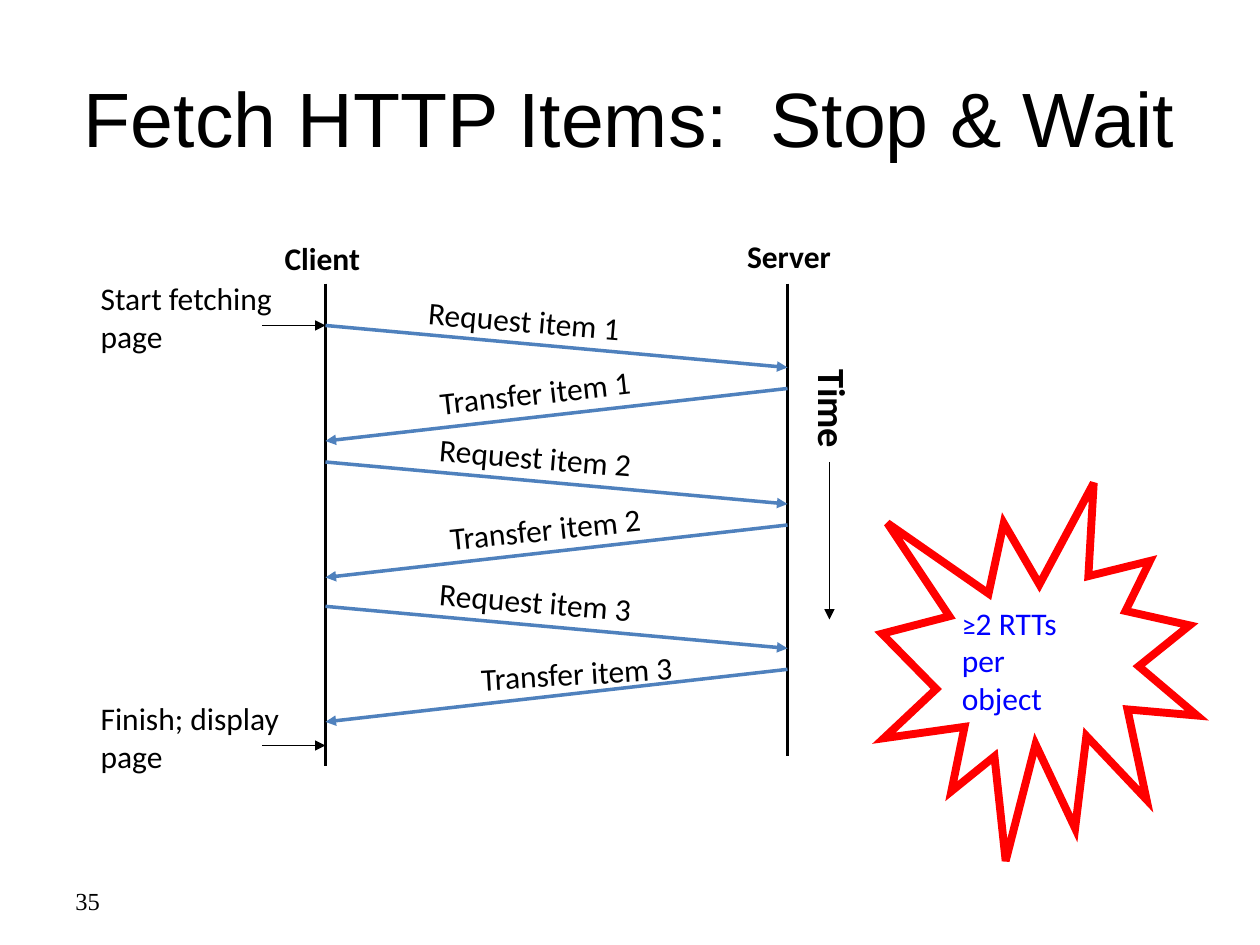
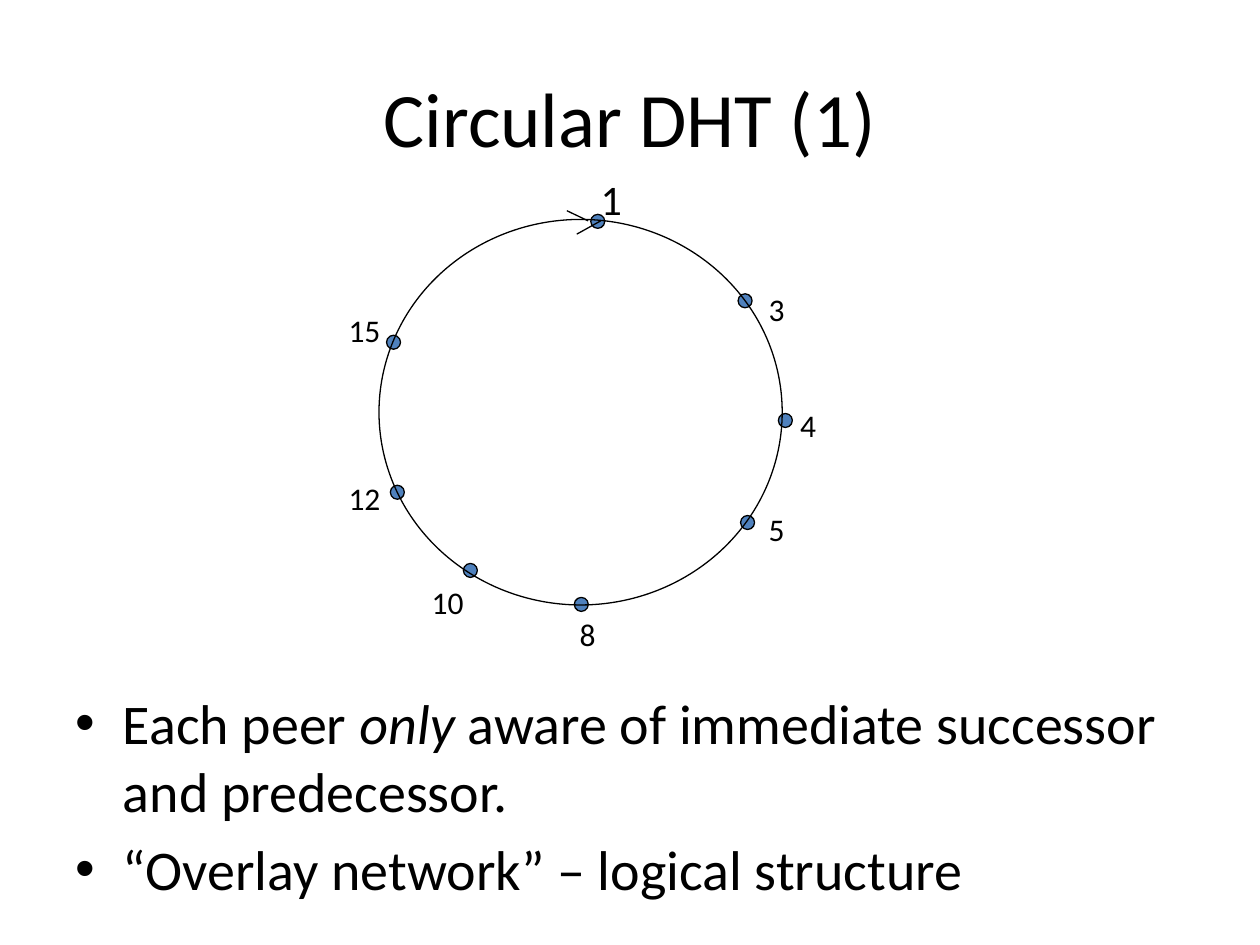
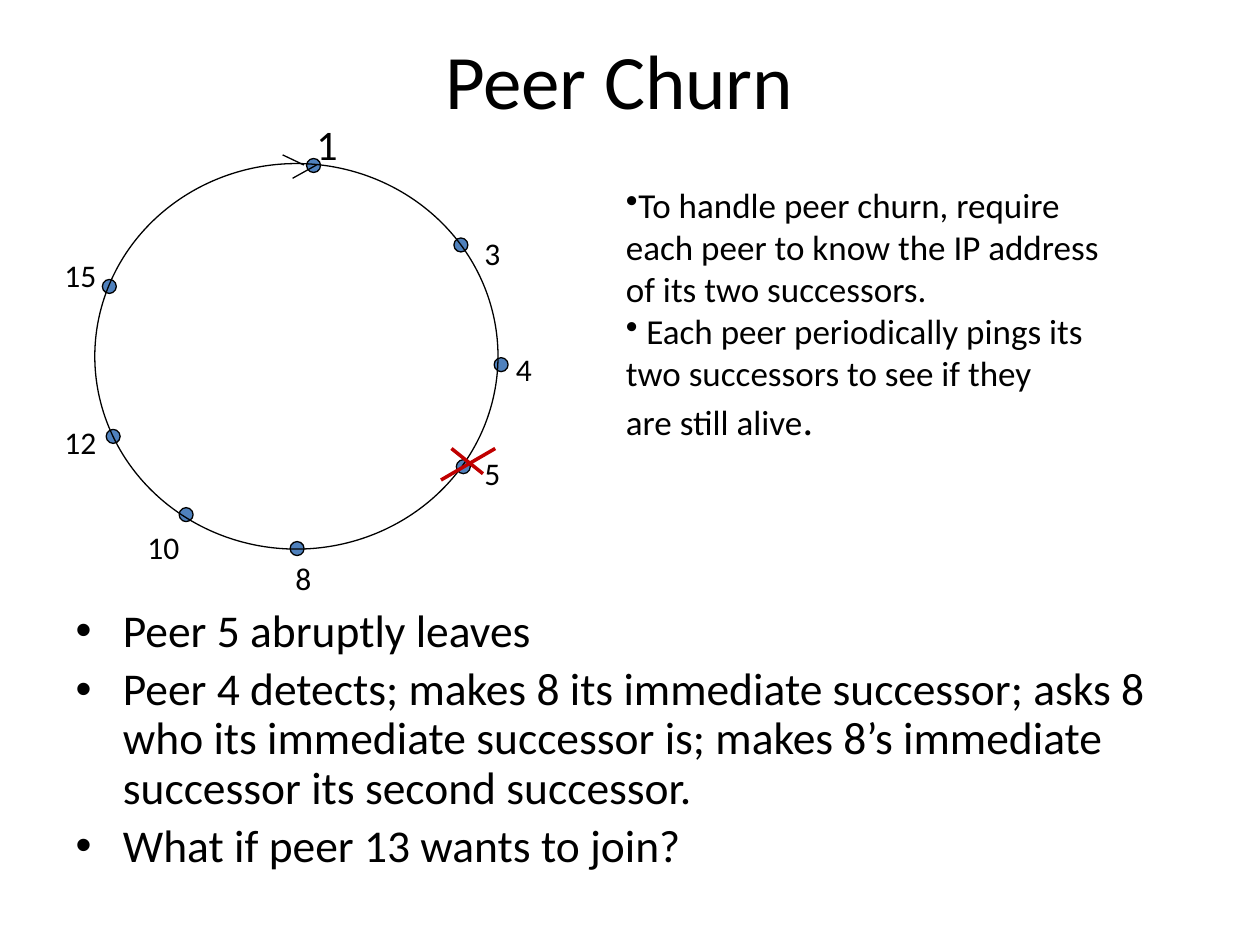
import dataclasses
import typing

import lxml.etree
import pptx
import pptx.dml.color
import pptx.enum.shapes
import pptx.enum.text
import pptx.oxml.ns
import pptx.util

Pt = pptx.util.Pt
Shapes = pptx.enum.shapes.MSO_SHAPE
Anchor = pptx.enum.text.MSO_ANCHOR
AutoSize = pptx.enum.text.MSO_AUTO_SIZE
qn = pptx.oxml.ns.qn

# Shared look
COLOURS = {
    "ink": "000000",
    "accent": "4F81BD",
    "burst": "FF0000",
    "burst_text": "0000FF",
    "cross": "C00000",
}
TITLE_ONLY, TITLE_AND_BODY = 5, 1
TITLE_HEIGHT = 90


@dataclasses.dataclass(frozen=True)
class Frame:
    left: float
    top: float
    width: float
    height: float

    def lengths(self) -> list:
        return [Pt(value) for value in dataclasses.astuple(self)]


@dataclasses.dataclass(frozen=True)
class Span:
    text: str
    formats: dict = dataclasses.field(default_factory=dict)


@dataclasses.dataclass(frozen=True)
class Peer:
    """Dot and label corners, measured from the ring's corner."""
    name: str
    dot: tuple[float, float]
    label: tuple[float, float]
    size: float = 18


@dataclasses.dataclass(frozen=True)
class Exchange:
    """One request and its transfer, with label lefts and the transfer's tilt."""
    start: float
    request_left: float
    transfer_left: float
    transfer_tilt: float


def colour(name: str) -> pptx.dml.color.RGBColor:
    return pptx.dml.color.RGBColor.from_string(COLOURS[name])


def style_font(font: typing.Any, size: float, ink: str = "ink", **formats) -> None:
    values = {"name": "Calibri", "size": Pt(size)} | formats
    for key, value in values.items():
        setattr(font, key, value)
    font.color.rgb = colour(ink)


def write(frame: typing.Any, paras: list, size: float, **formats) -> list:
    """Fill a text frame; each paragraph is a string or a list of spans."""
    written = []
    for index, content in enumerate(paras):
        para = frame.add_paragraph() if index else frame.paragraphs[0]
        spans = [Span(content)] if isinstance(content, str) else content
        for span in spans:
            for number, line in enumerate(span.text.split("\n")):
                if number:
                    para.add_line_break()
                run = para.add_run()
                run.text = line
                style_font(run.font, **({"size": size} | formats | span.formats))
        written.append(para)
    return written


def add_text(parent: typing.Any, frame: Frame, paras: list, size: float = 18,
             wrap: bool = False, tilt: float = 0, **formats) -> typing.Any:
    box = parent.add_textbox(*frame.lengths())
    box.text_frame.word_wrap = wrap
    box.text_frame.auto_size = AutoSize.SHAPE_TO_FIT_TEXT
    box.rotation = tilt
    write(box.text_frame, paras, size, **formats)
    return box


def add_line(page: typing.Any, start: tuple[float, float], end: tuple[float, float],
             weight: float, ink: str = "ink", arrow: bool = False) -> None:
    line = page.shapes.add_connector(
        pptx.enum.shapes.MSO_CONNECTOR.STRAIGHT, *(Pt(v) for v in (*start, *end)))
    line.line.color.rgb = colour(ink)
    line.line.width = Pt(weight)
    properties = line.element.spPr
    if arrow:
        lxml.etree.SubElement(properties.find(qn("a:ln")), qn("a:tailEnd"), type="triangle")
    lxml.etree.SubElement(properties, qn("a:effectLst"))


def add_shape(parent: typing.Any, kind: typing.Any, frame: Frame, ink: str,
              weight: float, fill: str | None = None) -> typing.Any:
    shape = parent.add_shape(kind, *frame.lengths())
    shape.shadow.inherit = False
    if fill:
        shape.fill.solid()
        shape.fill.fore_color.rgb = colour(fill)
    else:
        shape.fill.background()
    shape.line.color.rgb = colour(ink)
    shape.line.width = Pt(weight)
    return shape


def place(holder: typing.Any, frame: Frame) -> None:
    names = ("left", "top", "width", "height")
    for name, value in zip(names, frame.lengths()):
        setattr(holder, name, value)
    holder.text_frame.auto_size = AutoSize.NONE


def add_page(deck: typing.Any, layout: int, title: str, left: float = 36,
             top: float = 21.6, font: str = "Calibri") -> typing.Any:
    page = deck.slides.add_slide(deck.slide_layouts[layout])
    holder = page.shapes.title
    place(holder, Frame(left, top, 648, TITLE_HEIGHT))
    holder.text_frame.vertical_anchor = Anchor.MIDDLE
    write(holder.text_frame, [title], 44, name=font)
    return page


def fill_body(page: typing.Any, frame: Frame, paras: list, size: float,
              spacing: float = 1.0) -> None:
    holder = page.placeholders[1]
    place(holder, frame)
    written = write(holder.text_frame, paras, size)
    for para in written:
        para.line_spacing = spacing
    written[0].space_before = Pt(0)


# Peer ring, used on two slides
RING_WIDTH, RING_HEIGHT, DOT = 230.4, 220.3, 8
PEERS = [
    Peer("1", (121, -2.9), (119.5, -29.5), 24),
    Peer("3", (205.2, 42.5), (215.5, 36.7)),
    Peer("4", (228.2, 110.9), (233.5, 103)),
    Peer("5", (206.6, 169.2), (215.5, 162.7)),
    Peer("8", (111.6, 216), (107.5, 222.5)),
    Peer("10", (48.2, 196.6), (23, 204.5)),
    Peer("12", (6.5, 151.9), (-24.5, 144.7)),
    Peer("15", (4.3, 66.2), (-24.5, 49)),
]
RING_ARROW = [((107.3, -5), (119.5, 0.8)), ((126.7, 0.8), (113, 8.4))]


def add_ring(page: typing.Any, left: float, top: float) -> None:
    def shift(point: tuple[float, float]) -> tuple[float, float]:
        return left + point[0], top + point[1]

    ring = page.shapes.add_group_shape().shapes
    for peer in PEERS:
        add_shape(ring, Shapes.OVAL, Frame(*shift(peer.dot), DOT, DOT),
                  "ink", 0.75, "accent")
    add_shape(ring, Shapes.OVAL, Frame(left, top, RING_WIDTH, RING_HEIGHT), "ink", 0.75)
    for peer in PEERS:
        width = 26.6 if len(peer.name) == 1 else 38.9
        add_text(ring, Frame(*shift(peer.label), width, 36), [peer.name], peer.size)
    for start, end in RING_ARROW:
        add_line(page, shift(start), shift(end), 0.75)


# Slide 1: message sequence between client and server
CLIENT_X, SERVER_X, LIFELINE_TOP = 186, 450, 162
EXCHANGES = [
    Exchange(186, 237.6, 244, -6.4),
    Exchange(264, 244, 249.8, -5.9),
    Exchange(346.5, 244, 267.8, -3.4),
]


def build_stop_and_wait(deck: typing.Any) -> None:
    page = add_page(deck, TITLE_ONLY, "Fetch HTTP Items:  Stop & Wait", font="Arial")
    shapes = page.shapes
    number = add_text(shapes, Frame(36, 500.4, 168, 28.8), ["35"], 14, wrap=True,
                      name="Times New Roman")
    number.text_frame.auto_size = AutoSize.NONE
    number.text_frame.vertical_anchor = Anchor.MIDDLE

    # Lifelines
    for x, bottom in ((CLIENT_X, 438), (SERVER_X, 432)):
        add_line(page, (x, LIFELINE_TOP), (x, bottom), 2)
    add_text(shapes, Frame(155.5, 133.2, 58.3, 28.8), ["Client"], bold=True)
    add_text(shapes, Frame(419.8, 131.8, 62.6, 28.8), ["Server"], bold=True)

    # Requests and transfers
    for item, exchange in enumerate(EXCHANGES, 1):
        start, reply = exchange.start, exchange.start + 36
        add_line(page, (CLIENT_X, start), (SERVER_X, start + 24), 2, "accent", True)
        add_line(page, (SERVER_X, reply), (CLIENT_X, reply + 30), 2, "accent", True)
        add_text(shapes, Frame(exchange.request_left, start - 17.3, 126, 28.8),
                 [f"Request item {item}"], tilt=4.7)
        add_text(shapes, Frame(exchange.transfer_left, reply - 12.5, 127.4, 28.8),
                 [f"Transfer item {item}"], tilt=exchange.transfer_tilt)

    # Start and finish notes
    for first, width, top, arrow_y in (("Start fetching", 114.5, 156.2, 186),
                                       ("Finish; display", 118, 396, 426)):
        add_text(shapes, Frame(50.4, top, width, 50.4), [first, "page"])
        add_line(page, (150, arrow_y), (CLIENT_X, arrow_y), 1, arrow=True)

    # Time axis
    time = add_text(shapes, Frame(455.8, 203.8, 41, 53.3), ["Time"], 22, bold=True)
    time.text_frame.vertical_anchor = Anchor.MIDDLE
    time.element.txBody.bodyPr.set("vert", "eaVert")
    add_line(page, (474, 264), (474, 354), 1, arrow=True)

    # Burst
    burst = add_shape(shapes, Shapes.EXPLOSION1, Frame(504, 276, 180, 216), "burst", 4.5)
    lxml.etree.SubElement(burst.element.spPr.find(qn("a:ln")), qn("a:miter"), lim="800000")
    burst.text_frame.word_wrap = False
    burst.text_frame.vertical_anchor = Anchor.MIDDLE
    lines = [[Span("≥", {"size": 16}), Span("2 RTTs")], "per", "object"]
    for para in write(burst.text_frame, lines, 18, ink="burst_text"):
        para.alignment = pptx.enum.text.PP_ALIGN.LEFT


# Slide 2: ring of peers
def build_circular_dht(deck: typing.Any) -> None:
    page = add_page(deck, TITLE_AND_BODY, "Circular DHT (1)")
    add_ring(page, 216.6, 125.4)
    fill_body(page, Frame(36, 390, 648, 120), [
        [Span("Each peer "), Span("only", {"italic": True}),
         Span(" aware of immediate successor and predecessor.")],
        "“Overlay network” – logical structure",
    ], 32)


# Slide 3: a peer leaves the ring
def build_peer_churn(deck: typing.Any) -> None:
    page = add_page(deck, TITLE_AND_BODY, "Peer Churn", left=30, top=0)
    fill_body(page, Frame(36, 344, 648, 168), [
        "Peer 5 abruptly leaves",
        "Peer 4 detects; makes 8 its immediate successor; asks 8 who its immediate "
        "successor is; makes 8’s immediate successor its second successor.",
        "What if peer 13 wants to join?",
    ], 26, spacing=0.9)
    add_ring(page, 54.2, 93.5)

    # Cross over peer 5
    for start, end in (((258, 256.3), (276, 270.7)), ((283, 256.3), (252, 274.3))):
        add_line(page, start, end, 2, "cross")

    # Side note
    note = add_text(page.shapes, Frame(350.6, 101.5, 287.3, 208), [
        "To handle peer churn, require",
        "each peer to know the IP address",
        "of its two successors.",
        [Span(" Each peer periodically pings its\ntwo successors to see if they\n"
              "are still alive"), Span(".", {"size": 24})],
    ], 20, wrap=True)
    for index in (0, 3):
        properties = note.text_frame.paragraphs[index]._p.get_or_add_pPr()
        lxml.etree.SubElement(properties, qn("a:buChar"), char="•")


def main() -> None:
    deck = pptx.Presentation()
    deck.slide_width, deck.slide_height = Pt(720), Pt(540)
    build_stop_and_wait(deck)
    build_circular_dht(deck)
    build_peer_churn(deck)
    deck.save("out.pptx")


if __name__ == "__main__":
    main()
